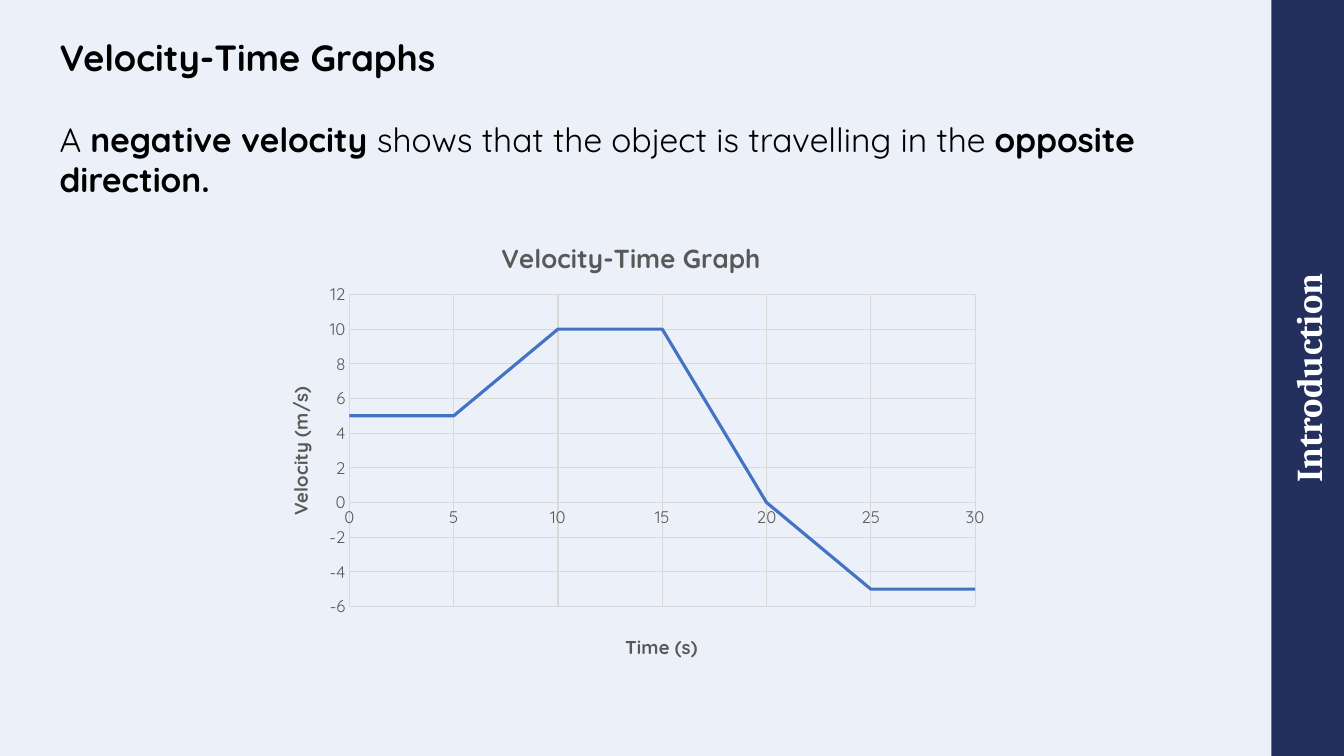
import pptx
import pptx.chart.data
import pptx.dml.color
import pptx.enum.chart
import pptx.enum.shapes
import pptx.enum.text
import pptx.oxml
import pptx.oxml.ns
import pptx.util
from pptx.util import Inches

NAVY, BLUE, PALE = "232F5D", "4472C4", "ECF1F9"
BLACK, WHITE, GREY, GRID = "000000", "FFFFFF", "595959", "D9D9D9"


def color(value):
    return pptx.dml.color.RGBColor.from_string(value)


class SlideBuilder:
    font = "Quicksand"

    def __init__(self, presentation):
        self.slide = presentation.slides.add_slide(presentation.slide_layouts[6])
        fill = self.slide.background.fill
        fill.solid()
        fill.fore_color.rgb = color(PALE)

    def style_font(self, font, size, value, bold=False, name=None):
        font.name = name or self.font
        font.size = pptx.util.Pt(size)
        font.bold = bold
        font.color.rgb = color(value)

    def add_runs(self, frame, runs, size, value, name=None):
        paragraph = frame.paragraphs[0]
        for text, bold in runs:
            run = paragraph.add_run()
            run.text = text
            self.style_font(run.font, size, value, bold, name)
        return paragraph

    def clear_margins(self, frame):
        frame.margin_left = frame.margin_right = 0
        frame.margin_top = frame.margin_bottom = 0

    def text(self, box, runs, size, anchor, spacing=1.0):
        frame = self.slide.shapes.add_textbox(*map(Inches, box)).text_frame
        frame.word_wrap = True
        frame.vertical_anchor = anchor
        self.clear_margins(frame)
        self.add_runs(frame, runs, size, BLACK).line_spacing = spacing

    def sidebar(self, box, label):
        shape = self.slide.shapes.add_shape(
            pptx.enum.shapes.MSO_SHAPE.RECTANGLE, *map(Inches, box))
        shape.rotation = 270
        shape.shadow.inherit = False
        shape.fill.solid()
        shape.fill.fore_color.rgb = color(NAVY)
        shape.line.fill.background()
        frame = shape.text_frame
        self.clear_margins(frame)
        frame.vertical_anchor = pptx.enum.text.MSO_ANCHOR.MIDDLE
        paragraph = self.add_runs(frame, [(label, True)], 26, WHITE, "Cambria")
        paragraph.alignment = pptx.enum.text.PP_ALIGN.CENTER

    def place(self, element, index, inner=False, **fractions):
        for layout in element.findall(pptx.oxml.ns.qn("c:layout")):
            element.remove(layout)
        target = '<c:layoutTarget val="inner"/>' if inner else ""
        modes = "".join(f'<c:{key}Mode val="edge"/>' for key in "xy")
        values = "".join(f'<c:{key} val="{value}"/>' for key, value in fractions.items())
        element.insert(index, pptx.oxml.parse_xml(
            f'<c:layout {pptx.oxml.ns.nsdecls("c")}><c:manualLayout>'
            f'{target}{modes}{values}</c:manualLayout></c:layout>'))

    def chart_title(self, title, text, size, x, y, rotation=0):
        self.add_runs(title.text_frame, [(text, True)], size, GREY)
        element = title._element
        body = element.find(".//" + pptx.oxml.ns.qn("a:bodyPr"))
        body.set("rot", str(rotation * 60000))
        body.set("vert", "horz")
        self.place(element, 1, x=x, y=y)

    def style_axis(self, axis):
        axis.major_tick_mark = pptx.enum.chart.XL_TICK_MARK.NONE
        axis.minor_tick_mark = pptx.enum.chart.XL_TICK_MARK.NONE
        axis.has_major_gridlines = True
        self.style_line(axis.major_gridlines.format.line, GRID, 0.75)
        self.style_font(axis.tick_labels.font, 12, GREY)

    def style_line(self, line, value, width):
        line.color.rgb = color(value)
        line.width = pptx.util.Pt(width)

    def line_chart(self, box, categories, values):
        data = pptx.chart.data.CategoryChartData()
        data.categories = categories
        data.add_series("Series 1", values)
        chart = self.slide.shapes.add_chart(
            pptx.enum.chart.XL_CHART_TYPE.LINE, *map(Inches, box), data).chart
        self.style_font(chart.font, 10, BLACK)
        chart.has_legend = False
        chart.has_title = True
        self.chart_title(chart.chart_title, "Velocity-Time Graph", 18.6, 0.32, 0.05)

        time_axis, velocity_axis = chart.category_axis, chart.value_axis
        for axis in (time_axis, velocity_axis):
            self.style_axis(axis)
        self.style_line(time_axis.format.line, GRID, 0.75)
        velocity_axis.format.line.fill.background()
        velocity_axis.minimum_scale = -6
        velocity_axis.maximum_scale = 12
        velocity_axis.major_unit = 2
        self.chart_title(time_axis.axis_title, "Time (s)", 13.3, 0.49, 0.9)
        self.chart_title(velocity_axis.axis_title, "Velocity (m/s)", 13.3, 0.03, 0.37, -90)
        crossing = velocity_axis._element.find(pptx.oxml.ns.qn("c:crossBetween"))
        if crossing is None:
            crossing = pptx.oxml.parse_xml(
                f'<c:crossBetween {pptx.oxml.ns.nsdecls("c")} val="midCat"/>')
            velocity_axis._element.find(pptx.oxml.ns.qn("c:majorUnit")).addprevious(crossing)
        crossing.set("val", "midCat")

        plot = chart.plots[0]
        plot.vary_by_categories = False
        plot.series[0].smooth = False
        self.style_line(plot.series[0].format.line, BLUE, 2.25)
        plot_area = chart._chartSpace.find(".//" + pptx.oxml.ns.qn("c:plotArea"))
        self.place(plot_area, 0, inner=True, x=0.12, y=0.18, w=0.85, h=0.67)


def main():
    presentation = pptx.Presentation()
    presentation.slide_width = Inches(13.33)
    presentation.slide_height = Inches(7.5)
    builder = SlideBuilder(presentation)
    builder.sidebar((9.22, 3.39, 7.5, 0.72), "Introduction")
    builder.text((0.59, 1.18, 11.61, 1.21), [
        ("A ", False),
        ("negative velocity ", True),
        ("shows that the object is travelling in the ", False),
        ("opposite direction.", True),
    ], 24, pptx.enum.text.MSO_ANCHOR.TOP)
    builder.text((0.59, 0, 11.61, 0.79), [("Velocity-Time Graphs", True)],
                 26, pptx.enum.text.MSO_ANCHOR.BOTTOM, 0.9)
    builder.line_chart((2.59, 2.09, 7.3, 4.62),
                       [str(second) for second in range(0, 31, 5)],
                       [5, 5, 10, 10, 0, -5, -5])
    presentation.save("out.pptx")


if __name__ == "__main__":
    main()
